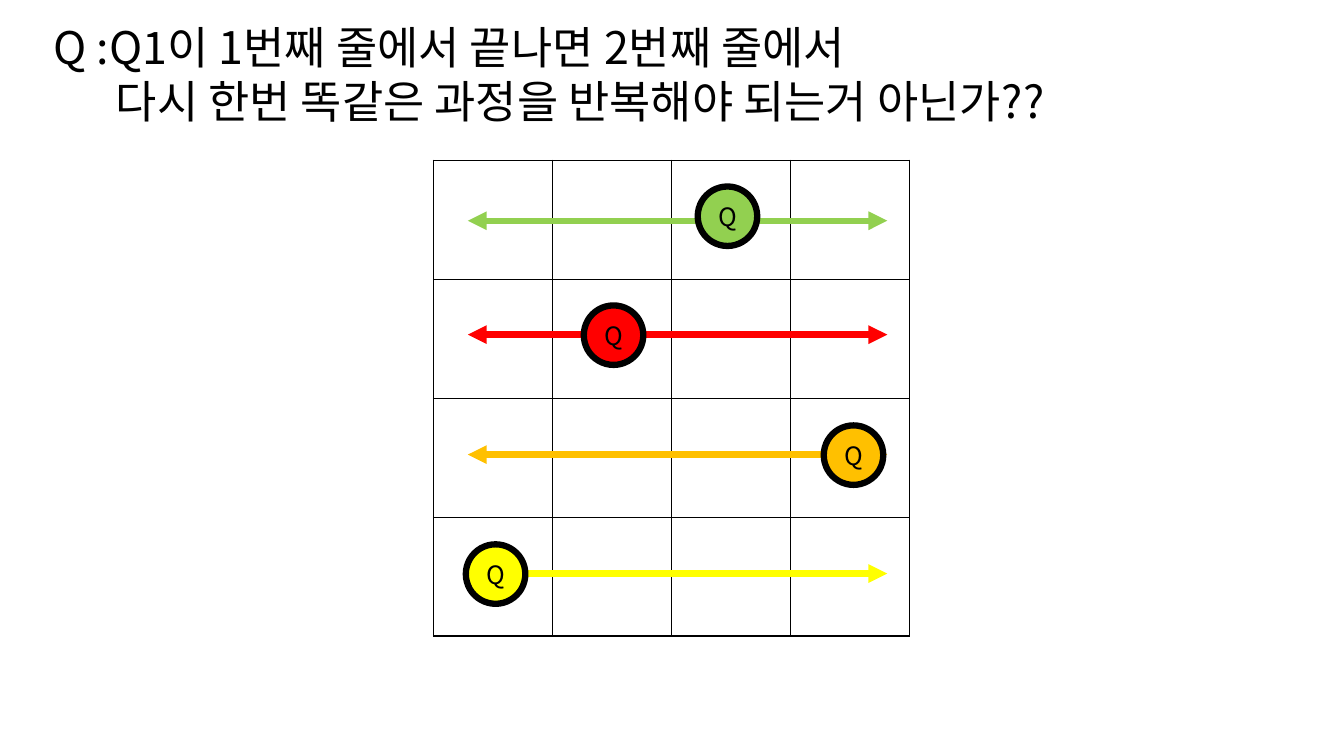
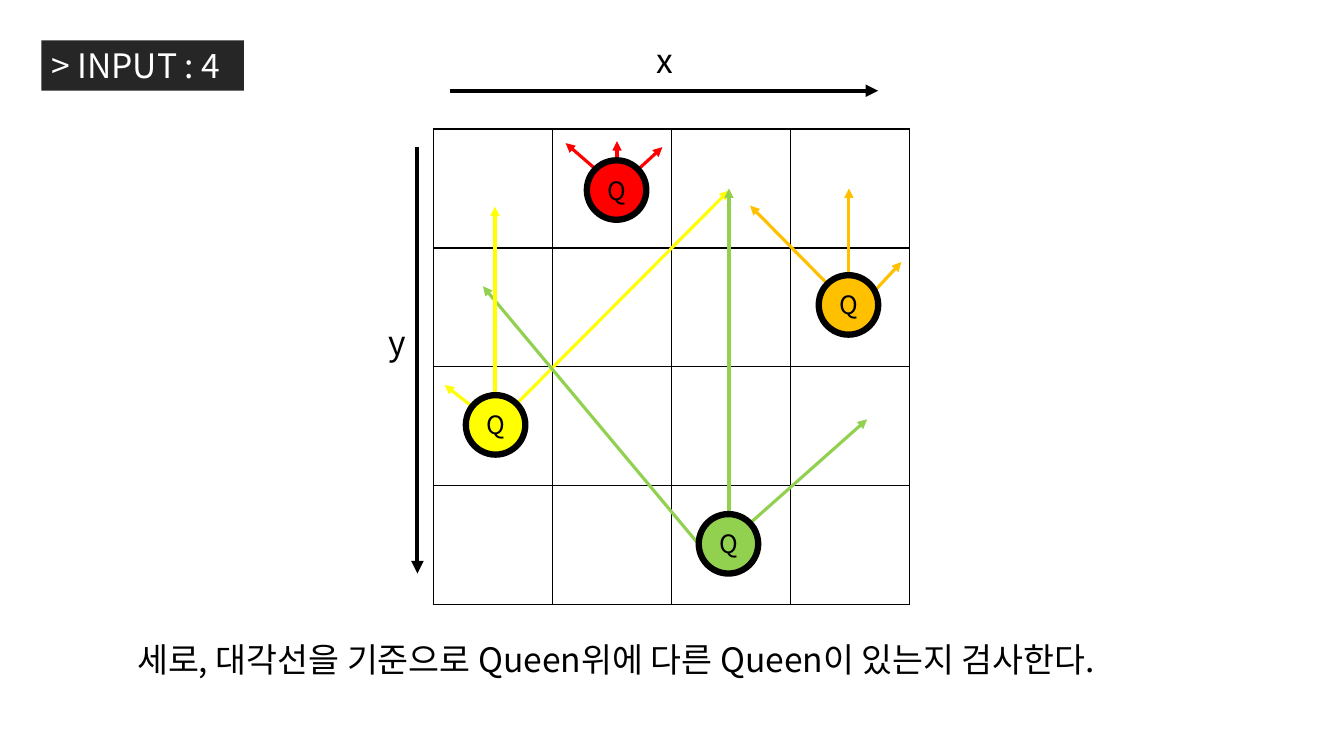
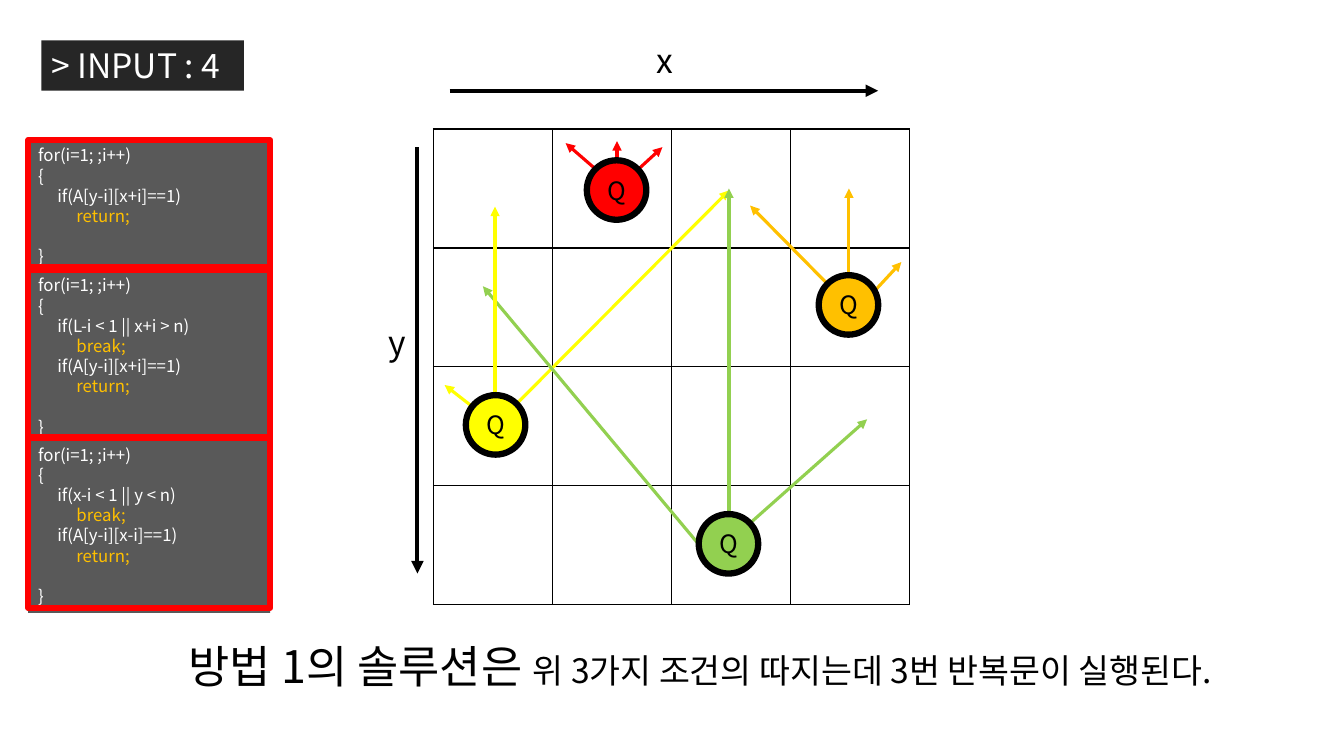
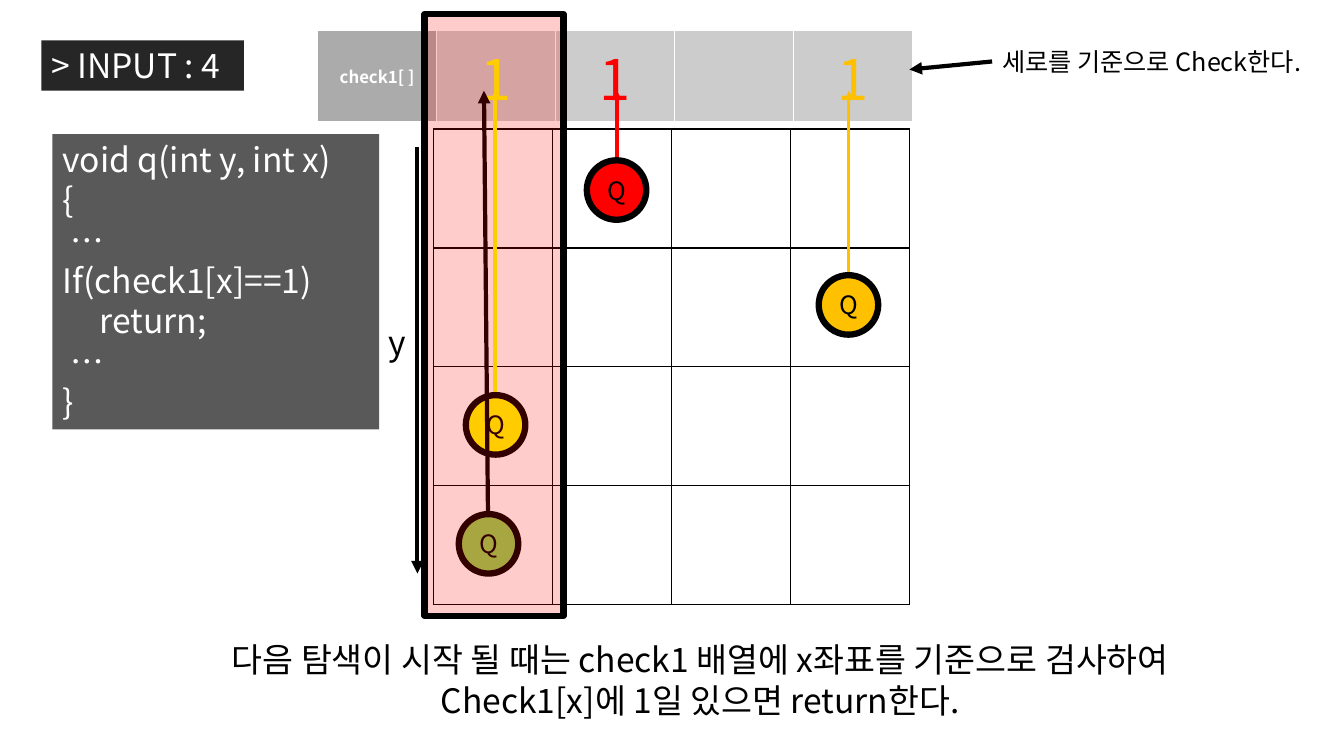
import pptx
import pptx.util
import pptx.dml.color
import pptx.enum.shapes
import pptx.enum.text
import pptx.oxml.ns
from lxml import etree

PX = 9144  # EMU in one px, 100 px to the inch
FONT = "Noto Sans CJK KR"
HUES = {
    "black": "000000", "white": "FFFFFF", "red": "FF0000", "gold": "FFC000",
    "lemon": "FFFF00", "green": "92D050", "ink": "262626", "slate": "595959",
    "head": "ABABAB", "ash": "CCCCCC",
}
SHAPE = pptx.enum.shapes.MSO_SHAPE
ALIGN = pptx.enum.text.PP_ALIGN
ANCHOR = pptx.enum.text.MSO_ANCHOR
qn = pptx.oxml.ns.qn

CELL = 118
SIDE = 4 * CELL
DISC = 59
BOARD = (430, 128)

# Queens and arrows, measured from the corner of the board
ROWS = [(262, 26, "green", 60), (149, 144, "red", 173),
        (387, 263, "gold", 292), (32, 381, "lemon", 410)]
QUEENS = [(152, 31, "red"), (382, 145, "gold"), (263, 382, "green"), (32, 264, "lemon")]
RAYS = [
    (82, 273, 293, 61, "lemon"), (203, 40, 227, 18, "red"),
    (391, 154, 314, 76, "gold"), (314, 391, 430, 288, "green"),
    (161, 40, 131, 14, "red"), (263, 412, 49, 156, "green"),
    (439, 159, 464, 132, "gold"), (38, 275, 11, 254, "lemon"),
    (61, 264, 61, 77, "lemon"), (182, 31, 182, 12, "red"),
    (412, 145, 412, 59, "gold"), (293, 382, 293, 59, "green"),
]
CHECKS = [(61, 264, 61, -38, "lemon"), (182, 31, 182, -38, "red"),
          (412, 145, 412, -38, "gold")]

# Code lines: text, indent, colour, space before in points
STEP = 19
OPEN = [("for(i=1; ;i++)", 0, "white", 0), ("{", 0, "white", 0)]
BACK = ("return;", 2 * STEP, "gold", 0)
STOP = ("break;", 2 * STEP, "gold", 0)
CLOSE = ("}", 0, "white", 14.4)


def test(text):
    return (text, STEP, "white", 0)


LOOPS = [
    (139, 131, 139, 129, [test("if(A[y-i][x+i]==1)"), BACK]),
    (268, 172, 265, 169,
     [test("if(L-i < 1 || x+i > n)"), STOP, test("if(A[y-i][x+i]==1)"), BACK]),
    (436, 172, 434, 169,
     [test("if(x-i < 1 || y < n)"), STOP, test("if(A[y-i][x-i]==1)"), BACK]),
]


def px(*sizes):
    return [pptx.util.Emu(size * PX) for size in sizes]


def rgb(hue):
    return pptx.dml.color.RGBColor.from_string(HUES[hue])


def write(para, text, size, hue="black", bold=False):
    run = para.add_run()
    run.text = text
    font = run.font
    font.size = pptx.util.Pt(size)
    font.bold = bold
    font.color.rgb = rgb(hue)
    font.name = FONT
    east = etree.SubElement(font._element, qn("a:ea"))
    east.set("typeface", FONT)


def fill_text(frame, lines, size, align=ALIGN.LEFT, anchor=ANCHOR.TOP):
    """Each line is (text, indent, colour, space before)."""
    frame.word_wrap = True
    frame.auto_size = pptx.enum.text.MSO_AUTO_SIZE.NONE
    frame.vertical_anchor = anchor
    for i, (text, indent, hue, gap) in enumerate(lines):
        para = frame.add_paragraph() if i else frame.paragraphs[0]
        para.alignment = align
        if indent:
            props = para._p.get_or_add_pPr()
            props.set("marL", str(indent * PX))
            props.set("indent", "0")
        if gap:
            para.space_before = pptx.util.Pt(gap)
        write(para, text, size, hue)


def label(slide, box, text, size):
    item = slide.shapes.add_textbox(*px(*box))
    fill_text(item.text_frame, [(text, 0, "black", 0)], size)


def title(slide, box, lines, size, align=ALIGN.LEFT):
    item = slide.shapes.title
    item.left, item.top, item.width, item.height = px(*box)
    fill_text(item.text_frame, lines, size, align)
    return item.text_frame.paragraphs[0]


def shape(slide, kind, box, fill=None, line=None, alpha=None):
    item = slide.shapes.add_shape(kind, *px(*box))
    item.shadow.inherit = False
    if fill:
        item.fill.solid()
        item.fill.fore_color.rgb = rgb(fill)
    else:
        item.fill.background()
    if alpha:
        tint = item._element.spPr.find(".//" + qn("a:srgbClr"))
        etree.SubElement(tint, qn("a:alpha")).set("val", str(alpha * 1000))
    if line:
        item.line.color.rgb = rgb(line)
        item.line.width = pptx.util.Pt(4.5)
    else:
        item.line.fill.background()
    return item


def arrow(slide, base, ends, hue, width, both=False):
    x, y = base
    x1, y1, x2, y2 = ends
    item = slide.shapes.add_connector(
        pptx.enum.shapes.MSO_CONNECTOR.STRAIGHT, *px(x + x1, y + y1, x + x2, y + y2))
    item.line.color.rgb = rgb(hue)
    item.line.width = pptx.util.Pt(width)
    line = item.line._get_or_add_ln()
    for end in ["headEnd", "tailEnd"] if both else ["tailEnd"]:
        etree.SubElement(line, qn("a:" + end)).set("type", "triangle")
    etree.SubElement(item._element.spPr, qn("a:effectLst"))


def edge(cell, hue):
    """Draw the four borders of a cell, ahead of its fill."""
    props = cell._tc.get_or_add_tcPr()
    for i, side in enumerate(["lnL", "lnR", "lnT", "lnB"]):
        line = etree.Element(qn("a:" + side), w="12700")
        paint = etree.SubElement(line, qn("a:solidFill"))
        etree.SubElement(paint, qn("a:srgbClr")).set("val", HUES[hue])
        props.insert(i, line)


def grid(slide, base, rows, cols, high, hue):
    box = px(*base, cols * CELL, rows * high)
    table = slide.shapes.add_table(rows, cols, *box).table
    table.first_row = table.horz_banding = False
    for col in table.columns:
        col.width = px(CELL)[0]
    for row in table.rows:
        row.height = px(high)[0]
    for cell in table.iter_cells():
        cell.fill.background()
        edge(cell, hue)
    return table


def queen(slide, base, x, y, hue):
    box = (base[0] + x, base[1] + y, DISC, DISC)
    disc = shape(slide, SHAPE.OVAL, box, hue, "black")
    fill_text(disc.text_frame, [("Q", 0, "black", 0)], 18, ALIGN.CENTER, ANCHOR.MIDDLE)


def board(slide, base, queens, rays):
    grid(slide, base, 4, 4, CELL, "black")
    for *ends, hue in rays:
        arrow(slide, base, ends, hue, 2.25)
    for spot in queens:
        queen(slide, base, *spot)


def prompt(slide):
    tag = shape(slide, SHAPE.RECTANGLE, (41, 40, 201, 50), "ink")
    fill_text(tag.text_frame, [("> INPUT : 4", 0, "white", 0)], 24)


def down(slide, base):
    arrow(slide, base, (-16, 18, -16, 441), "black", 3)
    label(slide, (base[0] - 55, base[1] + 186, 75, 50), "y", 24)


def across(slide, base):
    arrow(slide, base, (16, -38, 441, -38), "black", 3)
    label(slide, (base[0] + 211, base[1] - 93, 75, 50), "x", 24)


def code(slide, box, lines, size):
    panel = shape(slide, SHAPE.RECTANGLE, box, "slate")
    fill_text(panel.text_frame, lines, size)


def strip(slide, base):
    """The check1 array above the board."""
    table = grid(slide, base, 1, 5, 77, "white")
    cells = [("check1[ ]", 12, "white"), ("1", 40, "lemon"), ("1", 40, "red"),
             ("", 40, "ash"), ("1", 40, "gold")]
    for i, (text, size, hue) in enumerate(cells):
        cell = table.cell(0, i)
        cell.fill.solid()
        cell.fill.fore_color.rgb = rgb("ash" if i else "head")
        cell.vertical_anchor = ANCHOR.MIDDLE
        para = cell.text_frame.paragraphs[0]
        para.alignment = ALIGN.CENTER
        if text:
            write(para, text, size, hue, bold=not i)


def ask(slide):
    title(slide, (43, 15, 1272, 118), [
        ("Q :Q1이 1번째 줄에서 끝나면 2번째 줄에서", 0, "black", 0),
        ("다시 한번 똑같은 과정을 반복해야 되는거 아닌가??", 62, "black", 0)], 32)
    base = (430, 159)
    grid(slide, base, 4, 4, CELL, "black")
    for x, y, hue, mid in ROWS:
        arrow(slide, base, (34, mid, 450, mid), hue, 4.5, both=True)
        queen(slide, base, x, y, hue)


def search(slide):
    board(slide, BOARD, QUEENS, RAYS)
    prompt(slide)
    down(slide, BOARD)
    across(slide, BOARD)


def rule(slide):
    title(slide, (126, 629, 1137, 50), [
        ("세로, 대각선을 기준으로 Queen위에 다른 Queen이 있는지 검사한다.", 0, "black", 0)], 24)
    search(slide)


def cost(slide):
    para = title(slide, (126, 629, 1137, 64),
                 [("방법 1의 솔루션은 ", 0, "black", 0)], 32, ALIGN.CENTER)
    write(para, "위 3가지 조건의 따지는데 3번 반복문이 실행된다.", 24)
    search(slide)
    for top, high, _, _, body in LOOPS:
        code(slide, (28, top, 240, high), OPEN + body + [CLOSE], 12)
    for _, _, top, high, _ in LOOPS:
        shape(slide, SHAPE.RECTANGLE, (28, top, 240, high), line="red")


def check(slide):
    title(slide, (126, 629, 1137, 91), [
        ("다음 탐색이 시작 될 때는 check1 배열에 x좌표를 기준으로 검사하여", 0, "black", 0),
        ("Check1[x]에 1일 있으면 return한다.", 0, "black", 0)], 24, ALIGN.CENTER)
    strip(slide, (BOARD[0] - CELL + 3, 30))
    fresh = (25, 382, "green")
    board(slide, BOARD, [*QUEENS[:2], fresh, QUEENS[3]], CHECKS)
    prompt(slide)
    down(slide, BOARD)
    # Note on the array
    arrow(slide, (984, 61), (0, 0, -82, 8), "black", 3)
    label(slide, (984, 41, 340, 40), "세로를 기준으로 Check한다.", 18)
    # Column under test
    arrow(slide, BOARD, (54, 382, 50, -38), "black", 3)
    shape(slide, SHAPE.RECTANGLE, (421, 14, 138, 597), "red", "black", alpha=20)
    lines = [("void q(int y, int x)", 0), ("{", 0), ("…", 8), ("If(check1[x]==1)", 0),
             ("return;", 37), ("…", 8), ("}", 0)]
    code(slide, (52, 133, 324, 293), [(text, pad, "white", 0) for text, pad in lines], 24)


def main():
    deck = pptx.Presentation()
    deck.slide_width, deck.slide_height = px(1333, 750)
    for build in [ask, rule, cost, check]:
        build(deck.slides.add_slide(deck.slide_layouts[5]))
    deck.save("out.pptx")


if __name__ == "__main__":
    main()
